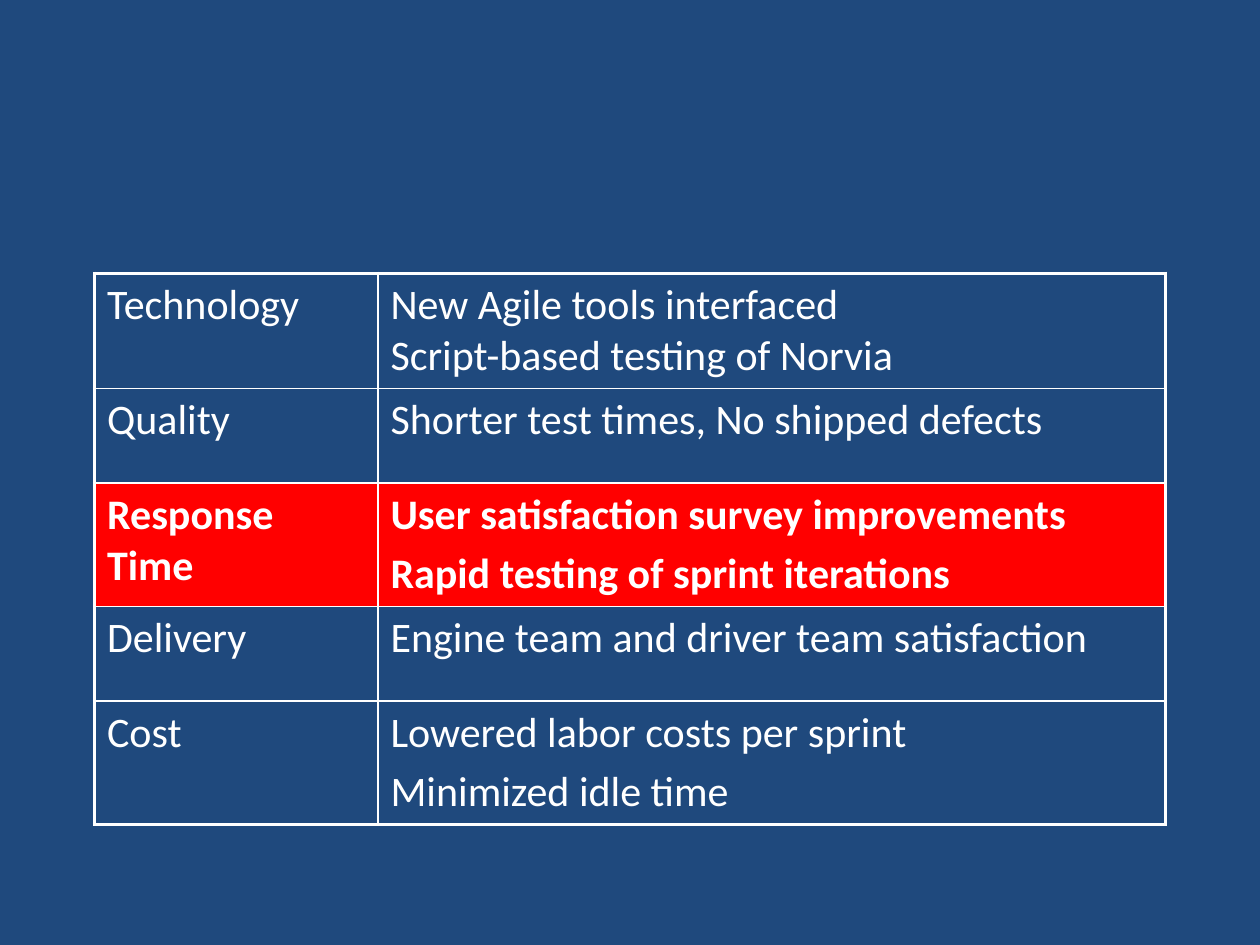
from dataclasses import dataclass

import lxml.etree
import pptx
import pptx.dml.color
import pptx.oxml.ns
import pptx.table
import pptx.util

Inches = pptx.util.Inches
Pt = pptx.util.Pt

COLORS = {"background": "1F497D", "text": "FFFFFF", "border": "FFFFFF", "highlight": "FF0000"}
FONT_NAME = "Calibri"
FONT_SIZE = 24
OUTER_WIDTH, INNER_WIDTH = 2.25, 1
COLUMN_WIDTHS = (2.25, 6.25)


@dataclass
class GoalRow:
    goal: str
    results: str
    height: float = 0.75
    highlighted: bool = False


GOAL_ROWS = [
    GoalRow("Technology", "New Agile tools interfaced\vScript-based testing of Norvia"),
    GoalRow("Quality", "Shorter test times, No shipped defects"),
    GoalRow(
        "Response Time",
        "User satisfaction survey improvements\nRapid testing of sprint iterations",
        highlighted=True,
    ),
    GoalRow("Delivery", "Engine team and driver team satisfaction"),
    GoalRow("Cost", "Lowered labor costs per sprint\nMinimized idle time", height=0.9),
]


def rgb(name: str) -> pptx.dml.color.RGBColor:
    return pptx.dml.color.RGBColor.from_string(COLORS[name])


def set_borders(cell: pptx.table._Cell, outer_sides: dict[str, bool]) -> None:
    """Draw the four cell borders, thicker on the sides at the table's edge."""
    qn = pptx.oxml.ns.qn
    properties = cell._tc.get_or_add_tcPr()
    for position, (side, is_outer) in enumerate(outer_sides.items()):
        width = Pt(OUTER_WIDTH if is_outer else INNER_WIDTH)
        line = lxml.etree.Element(qn(f"a:ln{side}"), w=str(int(width)))
        fill = lxml.etree.SubElement(line, qn("a:solidFill"))
        lxml.etree.SubElement(fill, qn("a:srgbClr"), val=COLORS["border"])
        properties.insert(position, line)


def fill_cell(cell: pptx.table._Cell, text: str, highlighted: bool) -> None:
    cell.text_frame.text = text
    for index, paragraph in enumerate(cell.text_frame.paragraphs):
        if index:
            paragraph.space_before = Pt(0.2 * FONT_SIZE)
        for run in paragraph.runs:
            run.font.name = FONT_NAME
            run.font.size = Pt(FONT_SIZE)
            run.font.bold = highlighted
            run.font.color.rgb = rgb("text")
    if highlighted:
        cell.fill.solid()
        cell.fill.fore_color.rgb = rgb("highlight")
    else:
        cell.fill.background()


def main() -> None:
    presentation = pptx.Presentation()
    presentation.slide_width = Inches(10)
    presentation.slide_height = Inches(7.5)
    slide = presentation.slides.add_slide(presentation.slide_layouts[6])
    slide.background.fill.solid()
    slide.background.fill.fore_color.rgb = rgb("background")

    # Goals table
    row_count, column_count = len(GOAL_ROWS), len(COLUMN_WIDTHS)
    table_height = Inches(4.36)
    table_shape = slide.shapes.add_table(
        row_count, column_count, Inches(0.75), Inches(2.17), Inches(sum(COLUMN_WIDTHS)), table_height
    )
    table = table_shape.table
    table.first_row = False
    table.horz_banding = False
    for column, width in zip(table.columns, COLUMN_WIDTHS):
        column.width = Inches(width)

    # Rows, with a thick outer frame
    for row_index, goal_row in enumerate(GOAL_ROWS):
        table.rows[row_index].height = Inches(goal_row.height)
        for column_index, text in enumerate((goal_row.goal, goal_row.results)):
            cell = table.cell(row_index, column_index)
            fill_cell(cell, text, goal_row.highlighted)
            set_borders(cell, {
                "L": column_index == 0,
                "R": column_index == column_count - 1,
                "T": row_index == 0,
                "B": row_index == row_count - 1,
            })
    table_shape.height = table_height

    presentation.save("out.pptx")


if __name__ == "__main__":
    main()
